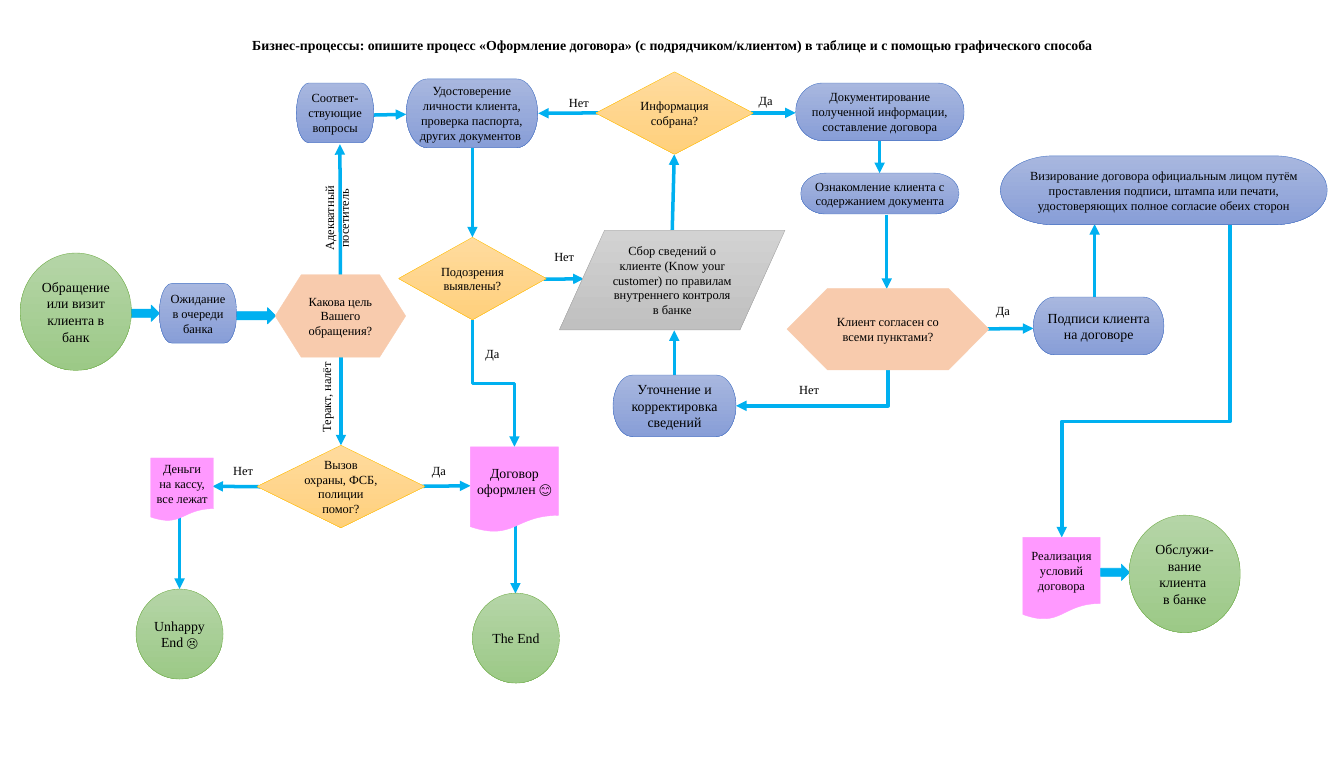
from pptx import Presentation, util as u
from pptx.dml.color import RGBColor
from pptx.enum import shapes, text
from pptx.oxml import parse_xml
from pptx.oxml.ns import nsdecls, qn

COL = ROW = u.Inches(1)  # grid of square cells, 26.57 columns by 14.96 rows
SMALL, BIG = 17.7, 19.7
BLUE = "00B0F0"
MSO = shapes.MSO_SHAPE


def rgb(color):
    return RGBColor.from_string(color)


def write(sp, words, size=SMALL, align=text.PP_ALIGN.CENTER,
          anchor=text.MSO_ANCHOR.MIDDLE, bold=False):
    """Newlines part paragraphs; a run after "|" is a symbol."""
    tf = sp.text_frame
    tf.word_wrap = True
    tf.vertical_anchor = anchor
    for i, line in enumerate(words.split("\n")):
        p = tf.add_paragraph() if i else tf.paragraphs[0]
        p.alignment = align
        for j, part in enumerate(line.split("|")):
            r = p.add_run()
            r.text = part
            r.font.name = "Lato" if j else "Times New Roman"
            r.font.size = u.Pt(SMALL if j else size)
            r.font.bold = bold
            r.font.color.rgb = rgb("000000")


prs = Presentation()
prs.slide_width, prs.slide_height = int(26.57 * COL), int(14.96 * ROW)
s = prs.slides.add_slide(prs.slide_layouts[5])

# Title
title = s.shapes.title
title.left, title.top = int(4.29 * COL), int(0.68 * ROW)
title.width, title.height = int(18 * COL), int(0.43 * ROW)
write(title, "Бизнес-процессы: опишите процесс «Оформление договора» "
      "(с подрядчиком/клиентом) в таблице и с помощью графического способа",
      BIG, bold=True)

# Arrows: start, end, and for elbows the preset and the share of the bend
arrows = [
    (13.33, 7.46, 13.33, 6.53), (17.53, 4.24, 17.53, 5.71),
    (17.39, 2.48, 17.39, 3.42), (14.65, 2.23, 15.73, 2.23),
    (11.93, 2.23, 10.64, 2.24), (13.29, 4.55, 13.33, 3.05),
    (10.57, 5.52, 11.54, 5.51), (9.34, 2.92, 9.34, 4.69),
    (6.74, 6.89, 6.74, 8.8), (7.06, 2.28, 8.03, 2.26),
    (5.17, 9.62, 4.2, 9.61), (8.33, 9.61, 9.3, 9.6),
    (6.73, 5.43, 6.72, 2.85), (10.19, 10.19, 10.19, 11.73),
    (3.55, 10.19, 3.55, 11.64), (19.45, 6.5, 20.43, 6.49),
    (21.64, 5.89, 21.64, 4.43),
    (24.32, 4.43, 20.99, 10.62, "bentConnector3", 0.63),
    (9.34, 6.33, 10.17, 8.83, "bentConnector3", 0.5),
    (17.56, 7.31, 14.55, 8.02, "bentConnector2", None),
]
for x1, y1, x2, y2, *elbow in arrows:
    kind = shapes.MSO_CONNECTOR.STRAIGHT
    if elbow:  # lay the elbow on its side, then turn it to leave downwards
        kind = shapes.MSO_CONNECTOR.ELBOW
        cx, cy, dx, dy = (x1 + x2) / 2, (y1 + y2) / 2, (x2 - x1) / 2, (y2 - y1) / 2
        x1, y1, x2, y2 = cx - dy, cy + dx, cx + dy, cy - dx
    sp = s.shapes.add_connector(kind, int(x1 * COL), int(y1 * ROW),
                                int(x2 * COL), int(y2 * ROW))
    sp.line.color.rgb = rgb(BLUE)
    sp.line.width = u.Pt(5)
    props = sp._element.spPr
    if elbow:
        preset, bend = elbow
        props.find(qn("a:xfrm")).set("rot", str(90 * 60000))
        geom = props.find(qn("a:prstGeom"))
        geom.set("prst", preset)
        if bend:
            geom.find(qn("a:avLst")).append(parse_xml(
                f'<a:gd {nsdecls("a")} name="adj1" fmla="val {int(bend * 100000)}"/>'))
    sp.line._get_or_add_ln().append(parse_xml(f'<a:tailEnd {nsdecls("a")} type="triangle"/>'))
    props.append(parse_xml(f'<a:effectLst {nsdecls("a")}/>'))

# Kinds of step: preset, fill (one colour or top and bottom), line colour, line width
kinds = {
    "terminal": (MSO.OVAL, ["B5D5A7", "9CC987"], "70AD47", 0.5),
    "step": (MSO.FLOWCHART_TERMINATOR, ["A8B7DF", "889ED7"], "4472C4", 0.5),
    "decision": (MSO.FLOWCHART_DECISION, ["FFDB9E", "FFD07C"], "FFC000", 0.5),
    "data": (MSO.FLOWCHART_DATA, ["D2D2D2", "C0C0C0"], "A5A5A5", 0.5),
    "question": (MSO.FLOWCHART_PREPARATION, ["F8CBAD"], "F8CBAD", 0.5),
    "document": (MSO.FLOWCHART_DOCUMENT, ["FF99FF"], "FF99FF", 0.5),
    "block": (MSO.RIGHT_ARROW, [BLUE], BLUE, 1),
}

# Steps: kind, left, top, width, height, size, words
steps = [
    ("block", 4.68, 6.08, 0.77, 0.32, SMALL, ""),
    ("block", 2.58, 6.03, 0.57, 0.32, SMALL, ""),
    ("terminal", 0.4, 5, 2.2, 2.32, BIG, "Обращение или визит клиента в банк"),
    ("document", 20.22, 10.62, 1.53, 1.63, SMALL, "Реализация условий договора"),
    ("block", 21.76, 11.15, 0.57, 0.32, SMALL, ""),
    ("step", 3.15, 5.6, 1.53, 1.18, SMALL, "Ожидание в очереди банка"),
    ("question", 5.44, 5.43, 2.58, 1.63, SMALL, "Какова цель Вашего обращения?"),
    ("decision", 5.08, 8.8, 3.32, 1.63, SMALL, "Вызов охраны, ФСБ, полиции помог?"),
    ("document", 2.98, 9.05, 1.24, 1.25, SMALL, "Деньги на кассу, все лежат"),
    ("terminal", 2.69, 11.64, 1.72, 1.78, BIG, "Unhappy End |☹"),
    ("document", 9.3, 8.83, 1.74, 1.69, BIG, "Договор оформлен 😊"),
    ("terminal", 9.34, 11.72, 1.72, 1.78, BIG, "The End"),
    ("step", 5.86, 1.64, 1.53, 1.18, SMALL, "Соответ-ствующие вопросы"),
    ("step", 8.03, 1.56, 2.6, 1.36, SMALL,
     "Удостоверение личности клиента, проверка паспорта, других документов "),
    ("decision", 7.88, 4.69, 2.92, 1.63, SMALL, "Подозрения выявлены?"),
    ("data", 11.06, 4.55, 4.46, 1.97, SMALL,
     "Сбор сведений о клиенте (Know your customer) по правилам внутреннего контроля в банке"),
    ("decision", 11.78, 1.42, 3.11, 1.63, SMALL, "Информация собрана?"),
    ("step", 15.73, 1.64, 3.33, 1.14, SMALL,
     "Документирование полученной информации, составление договора"),
    ("step", 15.83, 3.42, 3.13, 0.81, SMALL, "Ознакомление клиента с содержанием документа"),
    ("question", 15.56, 5.7, 3.99, 1.61, SMALL, "Клиент согласен со всеми пунктами?"),
    ("step", 12.12, 7.41, 2.43, 1.22, BIG, "Уточнение и корректировка сведений"),
    ("step", 20.43, 5.87, 2.58, 1.14, BIG, "Подписи клиента на договоре"),
    ("step", 19.78, 3.08, 6.46, 1.36, SMALL,
     "Визирование договора официальным лицом путём проставления подписи, "
     "штампа или печати, удостоверяющих полное согласие обеих сторон"),
    ("terminal", 22.32, 10.18, 2.2, 2.32, BIG, "Обслужи-вание клиента \nв банке"),
]
for kind, x, y, w, h, size, words in steps:
    preset, fill, line, width = kinds[kind]
    sp = s.shapes.add_shape(preset, int(x * COL), int(y * ROW), int(w * COL), int(h * ROW))
    sp.shadow.inherit = False
    if len(fill) == 1:
        sp.fill.solid()
        sp.fill.fore_color.rgb = rgb(fill[0])
    else:
        sp.fill.gradient()
        sp.fill.gradient_angle = 270
        for stop, color in zip(sp.fill.gradient_stops, fill):
            stop.color.rgb = rgb(color)
    sp.line.color.rgb = rgb(line)
    sp.line.width = u.Pt(width)
    if words:
        write(sp, words, size)

# Answers beside the arrows
answers = [
    (4.51, 9.11, "Нет"), (9.5, 6.79, "Да"), (8.44, 9.11, "Да"), (10.86, 4.88, "Нет"),
    (11.15, 1.83, "Нет"), (14.9, 1.8, "Да"), (15.7, 7.5, "Нет"), (19.59, 5.95, "Да"),
]
for x, y, words in answers:
    sp = s.shapes.add_textbox(int(x * COL), int(y * ROW), int(0.66 * COL), int(0.4 * ROW))
    write(sp, words, align=text.PP_ALIGN.LEFT, anchor=text.MSO_ANCHOR.TOP)

# Upright answers
for x, y, w, h, words in [(6.25, 7, 0.5, 1.7, "Теракт, налёт"),
                          (6.31, 3.5, 0.8, 1.63, "Адекватный посетитель")]:
    sp = s.shapes.add_textbox(int(x * COL), int(y * ROW), int(w * COL), int(h * ROW))
    write(sp, words, anchor=text.MSO_ANCHOR.TOP)
    sp.text_frame._txBody.bodyPr.set("vert", "vert270")

prs.save("out.pptx")
